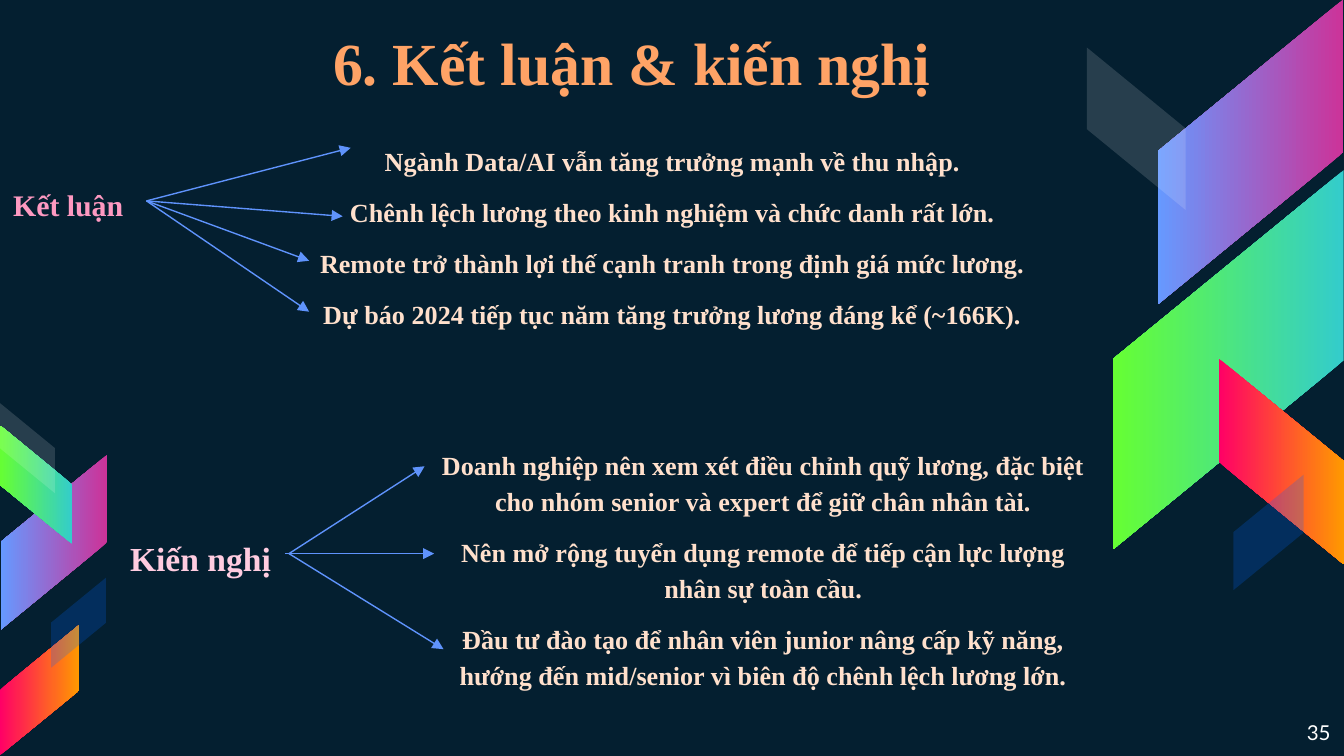
from lxml.etree import SubElement
from pptx import Presentation
from pptx.dml.color import RGBColor
from pptx.enum.shapes import MSO_CONNECTOR, MSO_SHAPE
from pptx.enum.text import MSO_ANCHOR, MSO_AUTO_SIZE, PP_ALIGN
from pptx.oxml.ns import qn
from pptx.util import Pt

COLORS = {
    "background": "041F30", "title": "FFA366", "number": "FFFFFF",
    "conclusion": "FE99C1", "proposal": "FFCCE0", "body": "FFE0CC",
    "arrow": "5F93FC", "magenta": "CC3399", "blue": "6699FF",
    "teal": "33CCCC", "green": "66FF33", "red": "FF0066",
    "orange": "FF9900", "white": "FFFFFF", "deep blue": "0066FF",
}
SERIF, SANS = "Times New Roman", "Lato"

PURPLE, LIME, FIRE = ("magenta", "blue"), ("teal", "green"), ("red", "orange")
MIST, SHADE = ("white", 14), ("deep blue", 22)  # colour, opacity in percent
RIBBON_RATIO = 0.608
# left, top, length, rotation, flipped, paint
RIBBONS = [
    (588.2, 31.7, 163.4, 90, True, PURPLE),
    (556.6, 131, 203, 90, True, LIME),
    (631.4, 213.8, 110.2, 270, False, FIRE),
    (565.2, 42.5, 87.1, 270, False, MIST),
    (648.7, 266.4, 61.9, 270, True, SHADE),
    (-18, 262.1, 93.6, 90, True, PURPLE),
    (-12.2, 240.5, 63.4, 90, False, LIME),
    (-13.7, 348.5, 69.8, 270, True, FIRE),
    (-9.4, 225.4, 48.2, 270, False, MIST),
    (18, 319, 48.2, 270, True, SHADE),
]

TITLE = "6. Kết luận & kiến nghị"
PAGE_NUMBER = "35"
SECTIONS = [
    {
        "heading": "Kết luận", "color": "conclusion", "size": 16,
        "heading_box": (0, 93.6, 78.5, 28.1),
        "points": [
            "Ngành Data/AI vẫn tăng trưởng mạnh về thu nhập.",
            "Chênh lệch lương theo kinh nghiệm và chức danh rất lớn.",
            "Remote trở thành lợi thế cạnh tranh trong định giá mức lương.",
            "Dự báo 2024 tiếp tục năm tăng trưởng lương đáng kể (~166K).",
        ],
        "points_box": (138.2, 72, 444.2, 108),
        "arrow_tips": [(187.9, 79.2), (183.6, 115.9), (165.6, 139.7), (165.6, 167)],
    },
    {
        "heading": "Kiến nghị", "color": "proposal", "size": 18,
        "heading_box": (62.6, 281.5, 92.2, 30.2),
        "points": [
            "Doanh nghiệp nên xem xét điều chỉnh quỹ lương, đặc biệt cho nhóm "
            "senior và expert để giữ chân nhân tài.",
            "Nên mở rộng tuyển dụng remote để tiếp cận lực lượng nhân sự toàn cầu.",
            "Đầu tư đào tạo để nhân viên junior nâng cấp kỹ năng, hướng đến "
            "mid/senior vì biên độ chênh lệch lương lớn.",
        ],
        "points_box": (228.2, 234.7, 361.4, 139),
        "arrow_tips": [(227.5, 249.8), (237.6, 347.8)],
    },
]
LEVEL_ARROW = ((152.6, 296.6), (232.6, 296.6))


def rgb(name):
    return RGBColor.from_string(COLORS[name])


def add_ribbon(slide, left, top, length, rotation, flipped, paint):
    ribbon = slide.shapes.add_shape(
        MSO_SHAPE.PARALLELOGRAM, Pt(left), Pt(top), Pt(length), Pt(length * RIBBON_RATIO))
    ribbon.adjustments[0] = 0.819
    ribbon.rotation = rotation
    ribbon.shadow.inherit = False
    ribbon.line.fill.background()
    if flipped:
        ribbon._element.spPr.find(qn("a:xfrm")).set("flipH", "1")
    if paint in (MIST, SHADE):
        color, opacity = paint
        ribbon.fill.solid()
        ribbon.fill.fore_color.rgb = rgb(color)
        srgb = ribbon._element.spPr.find(qn("a:solidFill")).find(qn("a:srgbClr"))
        SubElement(srgb, qn("a:alpha")).set("val", str(opacity * 1000))
    else:
        ribbon.fill.gradient()
        ribbon.fill.gradient_angle = 270
        for stop, color in zip(ribbon.fill.gradient_stops, paint):
            stop.color.rgb = rgb(color)


def add_text(slide, box, paragraphs, size, color, align=PP_ALIGN.LEFT, font=SERIF,
             bold=True, spacing=1.15, inset=3.6, grow=True, anchor=MSO_ANCHOR.TOP):
    holder = slide.shapes.add_textbox(*(Pt(value) for value in box))
    frame = holder.text_frame
    frame.word_wrap = True
    frame.auto_size = MSO_AUTO_SIZE.SHAPE_TO_FIT_TEXT if grow else MSO_AUTO_SIZE.NONE
    frame.vertical_anchor = anchor
    frame.margin_left = frame.margin_right = Pt(7.2)
    frame.margin_top = frame.margin_bottom = Pt(inset)
    for index, text in enumerate(paragraphs):
        paragraph = frame.add_paragraph() if index else frame.paragraphs[0]
        paragraph.alignment = align
        paragraph.line_spacing = spacing
        if index:
            paragraph.space_before = Pt(8)
        run = paragraph.add_run()
        run.text = text
        run.font.name, run.font.size, run.font.bold = font, Pt(size), bold
        run.font.color.rgb = rgb(color)
    return holder


def add_arrow(slide, start, tip):
    arrow = slide.shapes.add_connector(
        MSO_CONNECTOR.STRAIGHT, *(Pt(value) for value in (*start, *tip)))
    arrow.line.width = Pt(0.75)
    arrow.line.color.rgb = rgb("arrow")
    properties = arrow._element.spPr
    SubElement(properties.find(qn("a:ln")), qn("a:tailEnd")).set("type", "triangle")
    SubElement(properties, qn("a:effectLst"))
    return arrow


def add_section(slide, section):
    heading = add_text(slide, section["heading_box"], [section["heading"]],
                       section["size"], section["color"])
    add_text(slide, section["points_box"], section["points"], 14, "body", PP_ALIGN.CENTER)
    left, top, width, height = section["heading_box"]
    for tip in section["arrow_tips"]:
        arrow = add_arrow(slide, (left + width, top + height / 2), tip)
        arrow.begin_connect(heading, 3)


def main():
    deck = Presentation()
    deck.slide_width, deck.slide_height = Pt(720), Pt(405)
    slide = deck.slides.add_slide(deck.slide_layouts[6])
    slide.background.fill.solid()
    slide.background.fill.fore_color.rgb = rgb("background")

    for ribbon in RIBBONS:
        add_ribbon(slide, *ribbon)
    add_text(slide, (55.4, -3.6, 566.6, 72.7), [TITLE], 32, "title", PP_ALIGN.CENTER,
             spacing=1.0, inset=7.2, grow=False, anchor=MSO_ANCHOR.MIDDLE)
    add_text(slide, (673.9, 378.7, 46.1, 25.9), [PAGE_NUMBER], 11, "number", PP_ALIGN.RIGHT,
             font=SANS, bold=False, spacing=1.0, inset=7.2, grow=False)
    for section in SECTIONS:
        add_section(slide, section)
    add_arrow(slide, *LEVEL_ARROW)
    deck.save("out.pptx")


if __name__ == "__main__":
    main()
